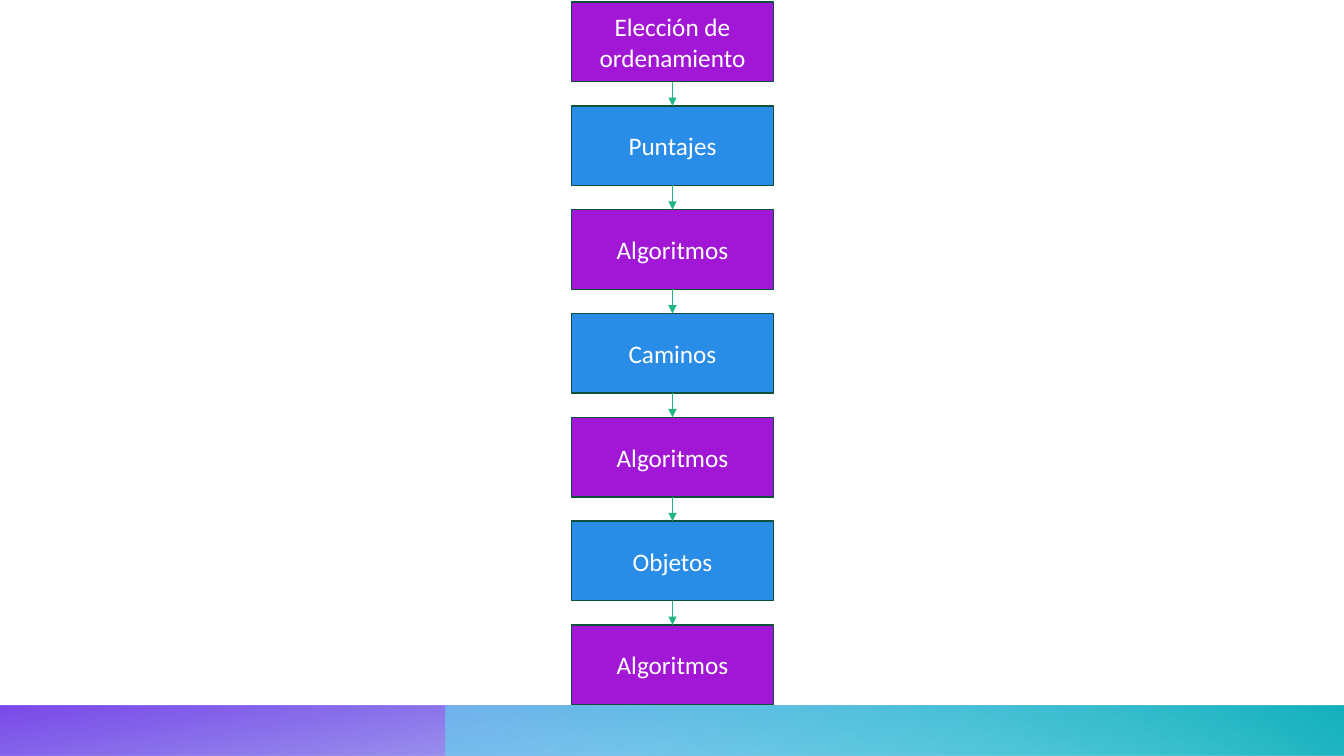
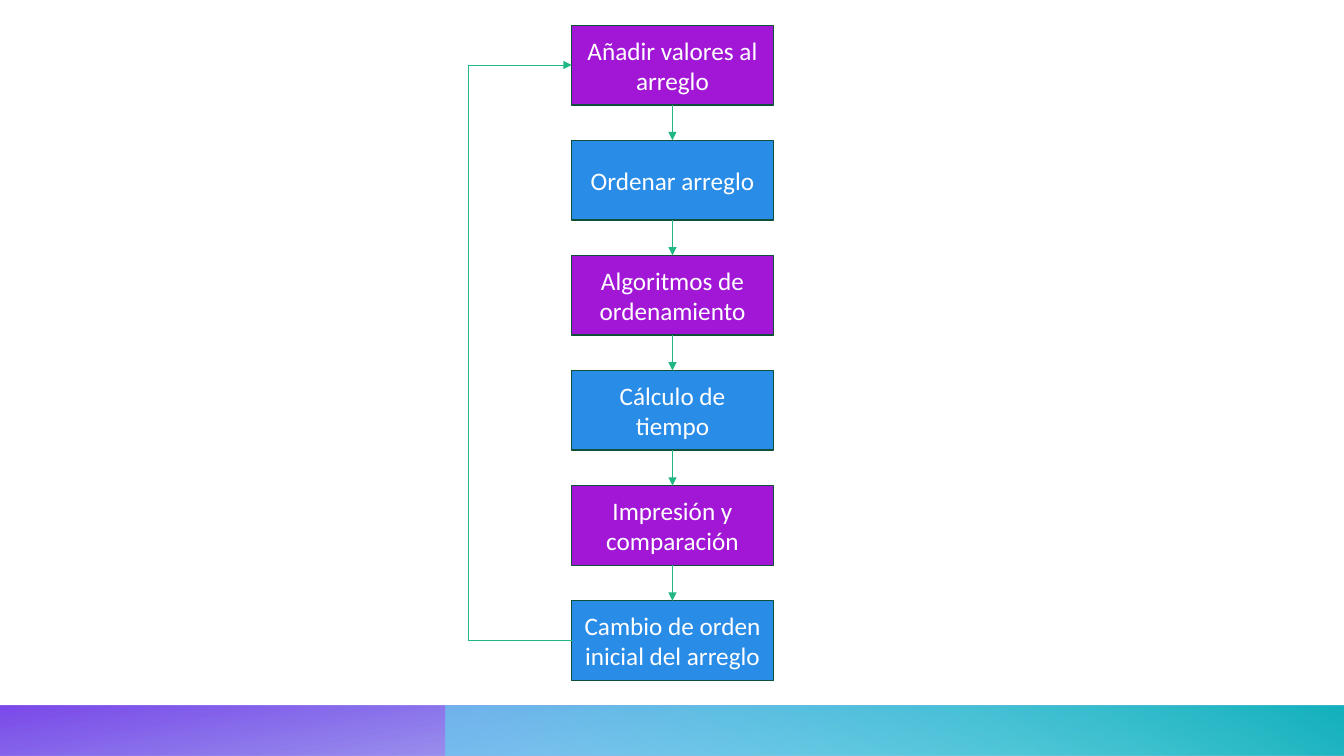
import pptx
import pptx.util
import pptx.dml.color
import pptx.enum.shapes
import pptx.enum.text
import pptx.oxml
import pptx.oxml.ns

Inches = pptx.util.Inches
Pt = pptx.util.Pt
RGBColor = pptx.dml.color.RGBColor
SHAPE = pptx.enum.shapes.MSO_SHAPE
LINK = pptx.enum.shapes.MSO_CONNECTOR

PURPLE = RGBColor(0xA2, 0x17, 0xD5)
BLUE = RGBColor(0x29, 0x8C, 0xE7)
EDGE = RGBColor(0x0E, 0x50, 0x39)
GREEN = RGBColor(0x21, 0xB7, 0x82)
WHITE = RGBColor(0xFF, 0xFF, 0xFF)
INDIGO = RGBColor(0x2E, 0x40, 0xD9)
VIOLET = RGBColor(0x65, 0x29, 0xE7)
CYAN = RGBColor(0x5B, 0xE4, 0xEE)
TEAL = RGBColor(0x14, 0xB1, 0xBC)

WIDE, HIGH = 13.33, 7.5
BOX_W, BOX_H = 2, 0.79
BOX_X = 5.67
LOOP_W = 1.04
NS = pptx.oxml.ns.nsdecls("a")


def write(shape, text, size=18, color=WHITE, font="Calibri"):
    """Put centred text into a shape."""
    frame = shape.text_frame
    frame.word_wrap = True
    frame.vertical_anchor = pptx.enum.text.MSO_ANCHOR.MIDDLE
    para = frame.paragraphs[0]
    para.alignment = pptx.enum.text.PP_ALIGN.CENTER
    run = para.add_run()
    run.text = text
    run.font.size = Pt(size)
    run.font.name = font
    run.font.color.rgb = color


def add_rect(slide, left, top, width, height):
    rect = slide.shapes.add_shape(SHAPE.RECTANGLE, Inches(left), Inches(top),
                                  Inches(width), Inches(height))
    rect.shadow.inherit = False
    return rect


def add_band(slide, layout, left, stops, angle, turn=0):
    """Draw a mirrored gradient band and hand it to the layout."""
    band = add_rect(slide, left, 7, WIDE - left, HIGH - 7)
    band.rotation = turn
    band.line.fill.background()
    marks = "".join(
        f'<a:gs pos="{pos * 1000}"><a:srgbClr val="{color}">'
        f'<a:alpha val="{alpha * 1000}"/></a:srgbClr></a:gs>'
        for pos, color, alpha in stops)
    fill = pptx.oxml.parse_xml(
        f'<a:gradFill {NS} rotWithShape="1"><a:gsLst>{marks}</a:gsLst>'
        f'<a:lin ang="{angle * 60000}" scaled="0"/></a:gradFill>')
    props = band.element.spPr
    props.find(pptx.oxml.ns.qn("a:prstGeom")).addnext(fill)
    props.find(pptx.oxml.ns.qn("a:xfrm")).set("flipH", "1")
    layout.shapes.element.append(band.element)


def add_arrow(slide, start, end, kind=LINK.STRAIGHT):
    arrow = slide.shapes.add_connector(
        kind, *(Inches(value) for value in (*start, *end)))
    arrow.line.color.rgb = GREEN
    arrow.line.width = Pt(0.5)
    arrow.line._get_or_add_ln().append(
        pptx.oxml.parse_xml(f'<a:tailEnd {NS} type="triangle"/>'))
    arrow.element.spPr.append(pptx.oxml.parse_xml(f"<a:effectLst {NS}/>"))
    return arrow


def add_loop(slide, left, low, high):
    """Lead from the last box back to the first, around the left side."""
    step = 0.01
    loop = add_arrow(slide, (left + step, low), (left, high), LINK.ELBOW)
    bend = round((LOOP_W + step) / step * 100000)
    geom = loop.element.spPr.find(pptx.oxml.ns.qn("a:prstGeom"))
    guides = geom.get_or_add_avLst()
    guides.append(pptx.oxml.parse_xml(
        f'<a:gd {NS} name="adj1" fmla="val {bend}"/>'))


def add_flow(slide, names, first, last, loop=False):
    """Stack the boxes evenly between two tops and link them."""
    pitch = (last - first) / (len(names) - 1)
    middle = BOX_X + BOX_W / 2
    for index, name in enumerate(names):
        top = first + index * pitch
        box = add_rect(slide, BOX_X, top, BOX_W, BOX_H)
        box.fill.solid()
        box.fill.fore_color.rgb = BLUE if index % 2 else PURPLE
        box.line.color.rgb = EDGE
        box.line.width = Pt(1)
        write(box, name)
        if index:
            add_arrow(slide, (middle, top - pitch + BOX_H), (middle, top))
    if loop:
        add_loop(slide, BOX_X, last + BOX_H / 2, first + BOX_H / 2)


def main():
    deck = pptx.Presentation()
    deck.slide_width, deck.slide_height = Inches(WIDE), Inches(HIGH)
    blank = deck.slide_layouts[6]
    menu, cycle = (deck.slides.add_slide(blank) for _ in range(2))

    # Shared footer bands
    add_band(menu, blank, 0, [(14, INDIGO, 28), (100, VIOLET, 85)], 100, 180)
    add_band(menu, blank, 4.42, [(9, CYAN, 55), (99, TEAL, 100)], 240)

    # Menu sequence
    add_flow(menu, ["Elección de ordenamiento", "Puntajes", "Algoritmos",
                    "Caminos", "Algoritmos", "Objetos", "Algoritmos"],
             0.02, 6.2)

    # Sorting cycle
    add_flow(cycle, ["Añadir valores al arreglo", "Ordenar arreglo",
                     "Algoritmos de ordenamiento", "Cálculo de tiempo",
                     "Impresión y comparación",
                     "Cambio de orden inicial del arreglo"],
             0.25, 5.96, loop=True)
    deck.save("out.pptx")


if __name__ == "__main__":
    main()
